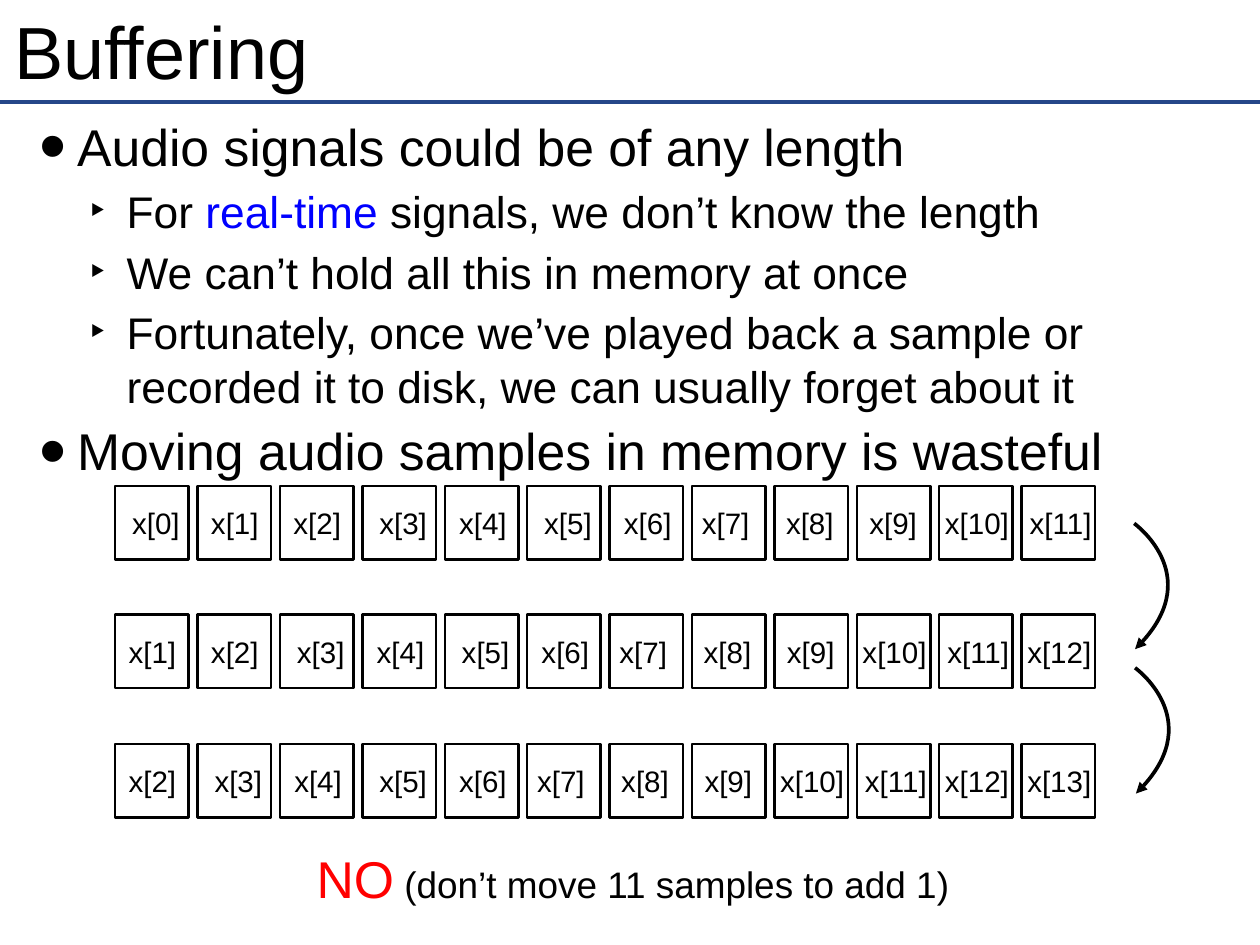
import pptx
import pptx.dml.color
import pptx.enum.shapes
import pptx.enum.text
import pptx.oxml.ns
import pptx.util
from lxml import etree

Inches = pptx.util.Inches
Pt = pptx.util.Pt
qn = pptx.oxml.ns.qn
Anchor = pptx.enum.text.MSO_ANCHOR
AutoSize = pptx.enum.text.MSO_AUTO_SIZE
Align = pptx.enum.text.PP_ALIGN
Preset = pptx.enum.shapes.MSO_SHAPE

BLACK, BLUE, RED, RULE_BLUE = "000000", "0000FF", "FF0000", "254789"

# (level, runs) where each run is (text, colour)
POINTS = [
    (0, [("Audio signals could be of any length", BLACK)]),
    (1, [("For ", BLACK), ("real-time", BLUE),
         (" signals, we don’t know the length", BLACK)]),
    (1, [("We can’t hold all this in memory at once", BLACK)]),
    (1, [("Fortunately, once we’ve played back a sample or recorded it "
          "to disk, we can usually forget about it", BLACK)]),
    (0, [("Moving audio samples in memory is wasteful", BLACK)]),
]
LEVELS = [
    {"size": 42, "margin": 0.69, "bullet": "•", "bullet_percent": 150},
    {"size": 36, "margin": 1.25, "bullet": "‣", "bullet_percent": 100},
]
BULLET_INDENT = -0.42

BUFFER_TOPS = [5.49, 6.94, 8.4]
BUFFER_LENGTH = 12
BUFFER_LEFT, CELL_STEP, CELL_SIZE = 1.3, 0.93, 0.83
LABEL_DROP, LABEL_HEIGHT = 0.17, 0.49
# Left edge of each sample's label within its cell
LABEL_OFFSETS = [0.13, 0.09, 0.09, 0.13, 0.1, 0.13, 0.1, 0.05, 0.07, 0.08,
                 0, 0.03, 0, 0]
ARROW_STARTS = [(12.8, 5.91), (12.81, 7.54)]


def colour(hex_string):
    return pptx.dml.color.RGBColor.from_string(hex_string)


def set_formats(target, formats):
    for name, value in formats.items():
        setattr(target, name, value)


class SlideBuilder:
    font_name = "Arial"

    def __init__(self, slide):
        self.slide = slide

    def add_run(self, paragraph, text, size, text_colour=BLACK):
        run = paragraph.add_run()
        run.text = text
        set_formats(run.font, {"name": self.font_name, "size": Pt(size)})
        run.font.color.rgb = colour(text_colour)

    def format_frame(self, frame, inset, **formats):
        sides = ("left", "top", "right", "bottom")
        set_formats(frame, {f"margin_{side}": Inches(inset) for side in sides})
        set_formats(frame, formats)

    def place(self, shape, *box):
        names = ("left", "top", "width", "height")
        set_formats(shape, dict(zip(names, map(Inches, box))))

    def format_line(self, shape, line_colour, width):
        shape.line.color.rgb = colour(line_colour)
        shape.line.width = Pt(width)

    def title(self, text):
        shape = self.slide.shapes.title
        self.place(shape, 0.1, 0.06, 14.01, 1.01)
        self.format_frame(shape.text_frame, 0.06, word_wrap=True,
                          vertical_anchor=Anchor.MIDDLE,
                          auto_size=AutoSize.NONE)
        paragraph = shape.text_frame.paragraphs[0]
        paragraph.alignment = Align.LEFT
        self.add_run(paragraph, text, 60)

    def bullet_list(self, points):
        shape = self.slide.placeholders[1]
        self.place(shape, 0.12, 1.24, 14.01, 9.35)
        frame = shape.text_frame
        self.format_frame(frame, 0.06, word_wrap=True,
                          vertical_anchor=Anchor.TOP, auto_size=AutoSize.NONE)
        for index, (level, runs) in enumerate(points):
            paragraph = frame.add_paragraph() if index else frame.paragraphs[0]
            set_formats(paragraph, {
                "level": level, "alignment": Align.LEFT, "line_spacing": 1.0,
                "space_before": Pt(6 if index else 0), "space_after": Pt(0)})
            style = LEVELS[level]
            self.bullet(paragraph, style)
            for text, text_colour in runs:
                self.add_run(paragraph, text, style["size"], text_colour)

    def bullet(self, paragraph, style):
        properties = paragraph._p.get_or_add_pPr()
        properties.set("marL", str(Inches(style["margin"])))
        properties.set("indent", str(Inches(BULLET_INDENT)))
        percent = str(style["bullet_percent"] * 1000)
        for tag, name, value in (("a:buSzPct", "val", percent),
                                 ("a:buFont", "typeface", self.font_name),
                                 ("a:buChar", "char", style["bullet"])):
            etree.SubElement(properties, qn(tag)).set(name, value)

    def text(self, box, runs):
        """Add one centred line; runs are (text, size, colour)."""
        shape = self.slide.shapes.add_textbox(*map(Inches, box))
        frame = shape.text_frame
        self.format_frame(frame, 0, word_wrap=False,
                          vertical_anchor=Anchor.MIDDLE,
                          auto_size=AutoSize.SHAPE_TO_FIT_TEXT)
        paragraph = frame.paragraphs[0]
        paragraph.alignment = Align.CENTER
        for run in runs:
            self.add_run(paragraph, *run)

    def rule(self, left, right, y):
        line = self.slide.shapes.add_connector(
            pptx.enum.shapes.MSO_CONNECTOR.STRAIGHT,
            *map(Inches, (left, y, right, y)))
        self.format_line(line, RULE_BLUE, 3)
        etree.SubElement(line.element.spPr, qn("a:effectLst"))

    def cell(self, left, top):
        shape = self.slide.shapes.add_shape(
            Preset.RECTANGLE, *map(Inches, (left, top, CELL_SIZE, CELL_SIZE)))
        shape.shadow.inherit = False
        shape.fill.background()
        self.format_line(shape, BLACK, 2)

    def buffer_row(self, top, first_sample):
        for column in range(BUFFER_LENGTH):
            sample = first_sample + column
            left = BUFFER_LEFT + column * CELL_STEP
            self.cell(left, top)
            width = 0.66 if sample < 10 else 0.82 if sample == 11 else 0.85
            self.text((left + LABEL_OFFSETS[sample], top + LABEL_DROP,
                       width, LABEL_HEIGHT), [(f"x[{sample}]", 24, BLACK)])

    def curved_arrow(self, x, y):
        """Add an arrow that bulges to the right on its way down."""
        builder = self.slide.shapes.build_freeform(Inches(x), Inches(y))
        builder.add_line_segments(
            [(Inches(x + 0.39), Inches(y + 0.8)),
             (Inches(x + 0.01), Inches(y + 1.42))], close=False)
        shape = builder.convert_to_shape()
        shape.shadow.inherit = False
        shape.fill.background()
        self.format_line(shape, BLACK, 3)

        outline = next(shape.element.iter(qn("a:path")))
        for segment in outline.findall(qn("a:lnTo")):
            outline.remove(segment)
        curve = etree.SubElement(outline, qn("a:cubicBezTo"))
        for across, down in ((0, 0), (0.85, 0.61), (0.01, 1.42)):
            point = etree.SubElement(curve, qn("a:pt"))
            point.set("x", str(Inches(across)))
            point.set("y", str(Inches(down)))
        head = etree.SubElement(shape.line._get_or_add_ln(), qn("a:tailEnd"))
        head.set("type", "triangle")


def main():
    presentation = pptx.Presentation()
    presentation.slide_width = Inches(14.22)
    presentation.slide_height = Inches(10.67)
    slide = presentation.slides.add_slide(presentation.slide_layouts[1])
    builder = SlideBuilder(slide)
    builder.rule(0, 14.22, 1.15)
    builder.title("Buffering")
    builder.bullet_list(POINTS)
    for first_sample, top in enumerate(BUFFER_TOPS):
        builder.buffer_row(top, first_sample)
    builder.text((3.51, 9.53, 7.27, 0.76),
                 [("NO", 42, RED),
                  (" (don’t move 11 samples to add 1)", 30, BLACK)])
    for start in ARROW_STARTS:
        builder.curved_arrow(*start)
    presentation.save("out.pptx")


if __name__ == "__main__":
    main()
